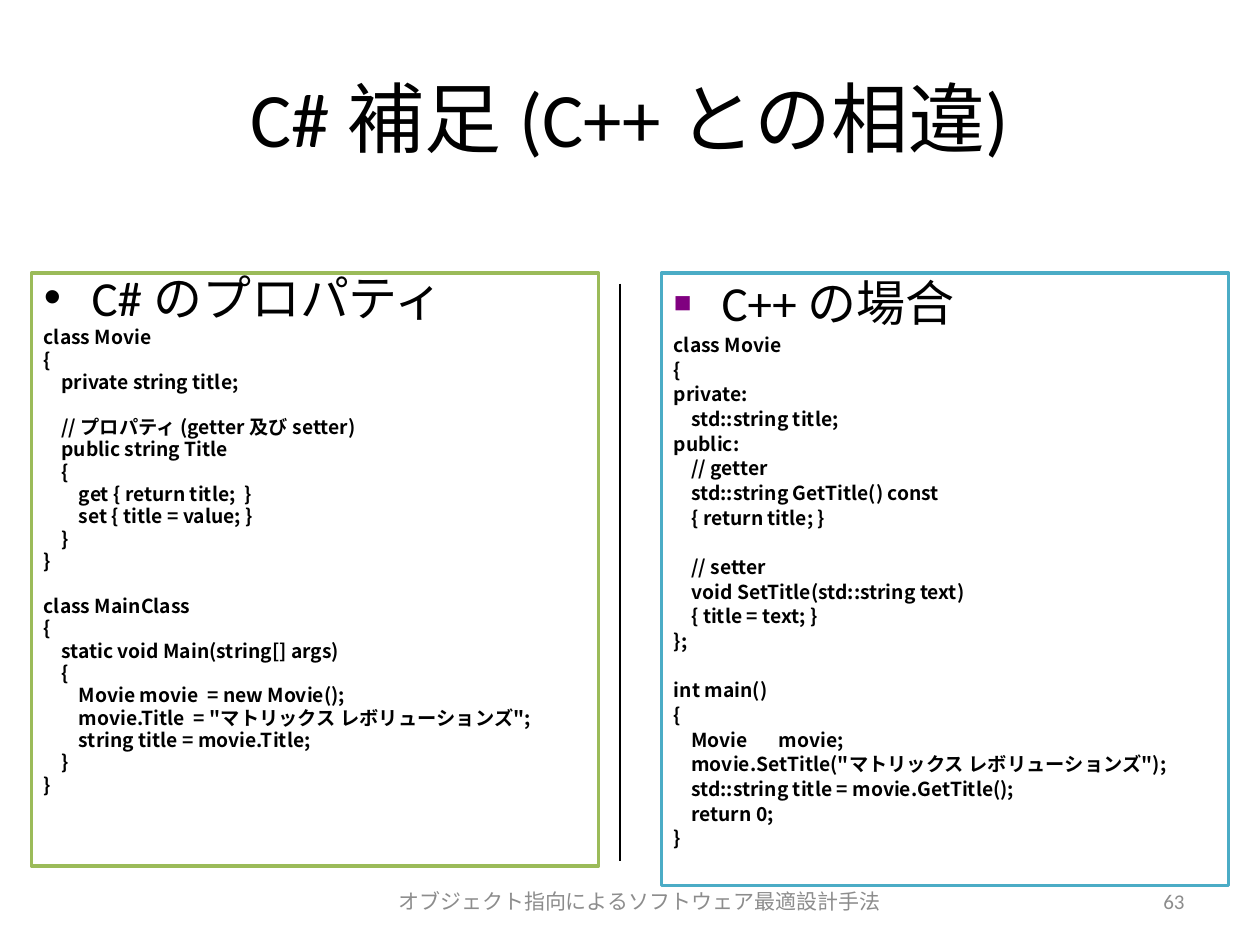
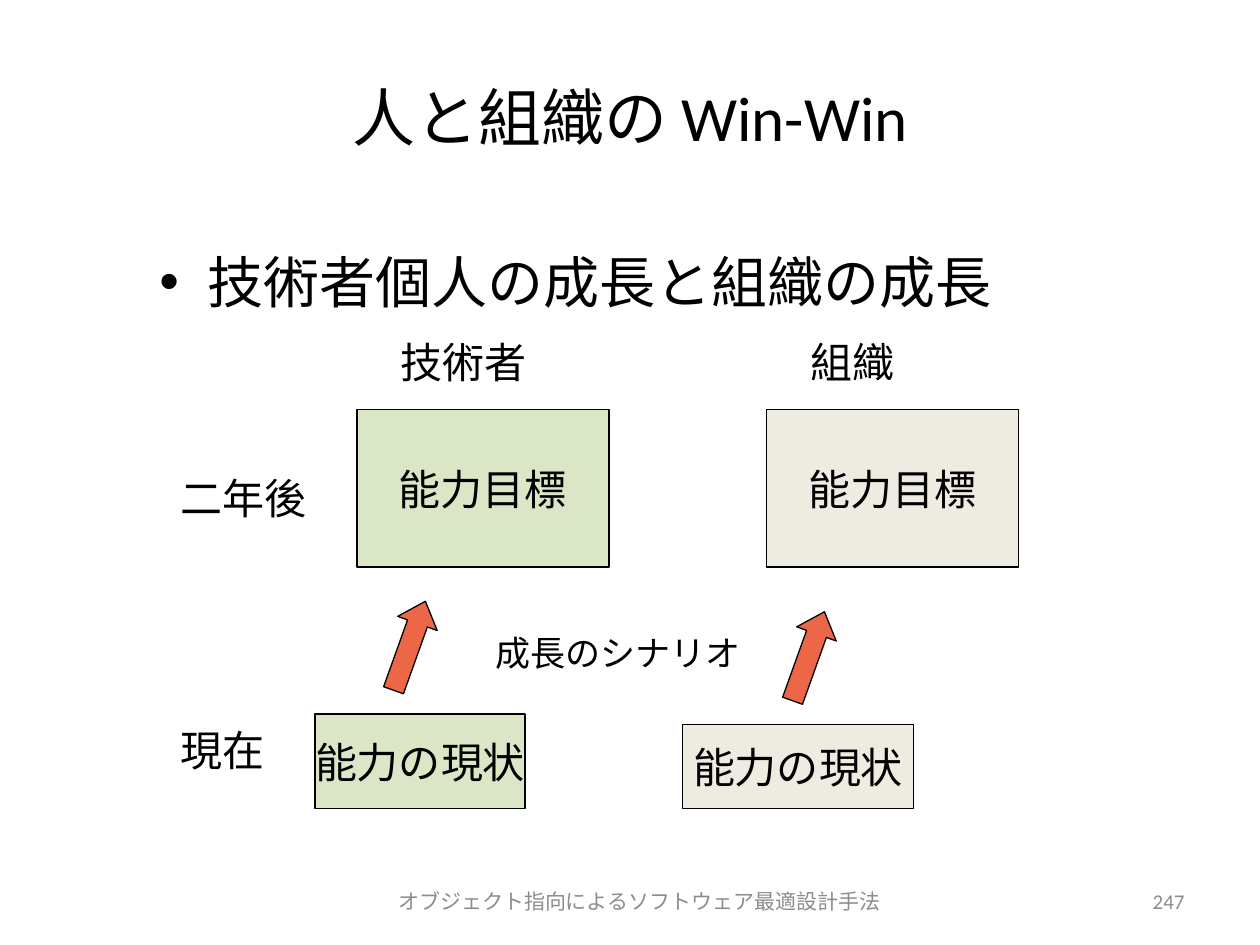
from collections import namedtuple

from lxml.etree import SubElement
from pptx import Presentation
from pptx.dml.color import RGBColor
from pptx.enum.shapes import MSO_CONNECTOR, MSO_SHAPE
from pptx.enum.text import MSO_ANCHOR, PP_ALIGN
from pptx.oxml.ns import qn
from pptx.util import Inches, Pt

COLUMNS, ROWS = 120, 90
CELL = Inches(10) / COLUMNS
HANG = Inches(0.38)

COLORS = {
    "ink": "000000", "paper": "FFFFFF", "muted": "8C8C8C",
    "csharp": "9BBB59", "cpp": "4BACC6", "marker": "800080",
    "engineer": "DBE6C6", "organization": "EEECE1", "growth": "EC6748",
}
BODY_FONT, CODE_FONT = "Calibri", "Noto Sans CJK JP"
CODE = {"name": CODE_FONT, "size": Pt(11), "bold": True}
CODE_GAP = Pt(2.2)
COURSE = "オブジェクト指向によるソフトウェア最適設計手法"

CSHARP_CODE = """class Movie
{
    private string title;

    // プロパティ (getter 及び setter)
    public string Title
    {
        get { return title;  }
        set { title = value; }
    }
}

class MainClass
{
    static void Main(string[] args)
    {
        Movie movie  = new Movie();
        movie.Title  = "マトリックス レボリューションズ";
        string title = movie.Title;
    }
}"""

CPP_CODE = """class Movie
{
private:
    std::string title;
public:
    // getter
    std::string GetTitle() const
    { return title; }

    // setter
    void SetTitle(std::string text)
    { title = text; }
};

int main()
{
    Movie       movie;
    movie.SetTitle("マトリックス レボリューションズ");
    std::string title = movie.GetTitle();
    return 0;
}"""

Box = namedtuple("Box", "left top width height")


def emu(box):
    return [round(length * CELL) for length in box]


def rgb(name):
    return RGBColor.from_string(COLORS[name])


def body(size):
    return {"name": BODY_FONT, "size": Pt(size)}


def write(paragraph, text, font_format, color="ink", **layout):
    """Fill a paragraph; layout holds paragraph attributes such as alignment."""
    for name, value in layout.items():
        setattr(paragraph, name, value)
    if not text:
        SubElement(paragraph._p, qn("a:endParaRPr"),
                   sz=str(font_format["size"].centipoints), b="1")
        return
    run = paragraph.add_run()
    run.text = text
    for name, value in font_format.items():
        setattr(run.font, name, value)
    run.font.color.rgb = rgb(color)
    SubElement(run._r.get_or_add_rPr(), qn("a:ea"), typeface=CODE_FONT)


def add_bullet(paragraph, symbol, color=None, percent=100):
    props = paragraph._p.get_or_add_pPr()
    props.set("marL", str(HANG))
    props.set("indent", str(-HANG))
    if color:
        SubElement(SubElement(props, qn("a:buClr")), qn("a:srgbClr"), val=COLORS[color])
    SubElement(props, qn("a:buSzPct"), val=str(percent * 1000))
    SubElement(props, qn("a:buFont"), typeface="Arial")
    SubElement(props, qn("a:buChar"), char=symbol)


def add_text(slide, box, text, size, color="ink", anchor=MSO_ANCHOR.TOP,
             bullet=None, **layout):
    frame = slide.shapes.add_textbox(*emu(box)).text_frame
    frame.word_wrap = True
    frame.vertical_anchor = anchor
    paragraph = frame.paragraphs[0]
    if bullet:
        add_bullet(paragraph, bullet)
    write(paragraph, text, body(size), color, **layout)


def add_label(slide, box, text, size=24):
    add_text(slide, box, text, size, alignment=PP_ALIGN.JUSTIFY, line_spacing=0.9)


def add_figure(slide, kind, box, fill, line="ink", width=1):
    figure = slide.shapes.add_shape(kind, *emu(box))
    figure.shadow.inherit = False
    figure.fill.solid()
    figure.fill.fore_color.rgb = rgb(fill)
    figure.line.color.rgb = rgb(line)
    figure.line.width = Pt(width)
    return figure


def add_frame(deck, title, title_size, number):
    """Add a slide with the title and footer that all slides share."""
    slide = deck.slides.add_slide(deck.slide_layouts[6])
    middle = MSO_ANCHOR.MIDDLE
    add_text(slide, Box(6, 3.6, 108, 15), title, title_size,
             anchor=middle, alignment=PP_ALIGN.CENTER)
    add_text(slide, Box(20.6, 83.4, 80.6, 4.8), COURSE, 12, "muted",
             middle, alignment=PP_ALIGN.CENTER)
    add_text(slide, Box(104, 83.4, 10, 4.8), number, 12, "muted",
             middle, alignment=PP_ALIGN.RIGHT)
    return slide


def code_panel(slide, box, heading, code, border, spacing, bullet):
    panel = add_figure(slide, MSO_SHAPE.RECTANGLE, box, "paper", border, 2)
    frame = panel.text_frame
    frame.word_wrap = True
    frame.vertical_anchor = MSO_ANCHOR.TOP
    layout = {"alignment": PP_ALIGN.LEFT, "line_spacing": spacing}
    add_bullet(frame.paragraphs[0], *bullet)
    write(frame.paragraphs[0], heading, body(28), **layout)
    for code_line in code.split("\n"):
        write(frame.add_paragraph(), code_line, CODE, space_before=CODE_GAP, **layout)


def ability_box(slide, box, text, fill):
    frame = add_figure(slide, MSO_SHAPE.RECTANGLE, box, fill).text_frame
    frame.word_wrap = False
    frame.vertical_anchor = MSO_ANCHOR.MIDDLE
    write(frame.paragraphs[0], text, body(24), alignment=PP_ALIGN.CENTER)


def growth_column(slide, box, owner, fill, current_size, arrow_shift):
    """Stack owner and target at the right, current ability at the lower left."""
    current_width, current_height = current_size
    target_left = box.left + box.width - 24
    current_top = box.top + box.height - current_height
    add_label(slide, Box(target_left + 3, box.top, 16, 5), owner)
    ability_box(slide, Box(target_left, box.top + 7, 24, 15), "能力目標", fill)
    ability_box(slide, Box(box.left, current_top, current_width, current_height),
                "能力の現状", fill)
    arrow = add_figure(slide, MSO_SHAPE.RIGHT_ARROW,
                       Box(box.left + arrow_shift, current_top - 8.5, 9, 4),
                       "growth", width=0.75)
    arrow.rotation = 289.7
    arrow.adjustments[0], arrow.adjustments[1] = 0.5, 0.56


def build_comparison(deck):
    slide = add_frame(deck, "C# 補足 (C++ との相違)", 44, "63")
    code_panel(slide, Box(3, 26, 54, 56.5), "C# のプロパティ", CSHARP_CODE,
               "csharp", 0.8, ("•",))
    code_panel(slide, Box(63, 26, 54, 58.35), "C++ の場合", CPP_CODE,
               "cpp", 0.9, ("■", "marker", 60))
    divider = slide.shapes.add_connector(MSO_CONNECTOR.STRAIGHT,
                                         *emu((59.04, 27, 59.04, 82)))
    divider.line.color.rgb = rgb("ink")
    divider.line.width = Pt(1)
    SubElement(divider._element.spPr, qn("a:effectLst"))


def build_growth(deck):
    slide = add_frame(deck, "人と組織の Win-Win", 36, "247")
    add_text(slide, Box(14, 23, 92, 10), "技術者個人の成長と組織の成長", 32, bullet="•")
    add_label(slide, Box(16, 45, 16, 5), "二年後")
    add_label(slide, Box(16, 69, 12, 5), "現在")
    add_label(slide, Box(46, 60, 27, 5), "成長のシナリオ", 20)
    growth_column(slide, Box(30, 32, 28, 45), "技術者", "engineer", (20, 9), 4.5)
    growth_column(slide, Box(65, 32, 32, 45), "組織", "organization", (22, 8), 7.5)


def main():
    deck = Presentation()
    deck.slide_width, deck.slide_height = emu((COLUMNS, ROWS))
    build_comparison(deck)
    build_growth(deck)
    deck.save("out.pptx")


if __name__ == "__main__":
    main()
